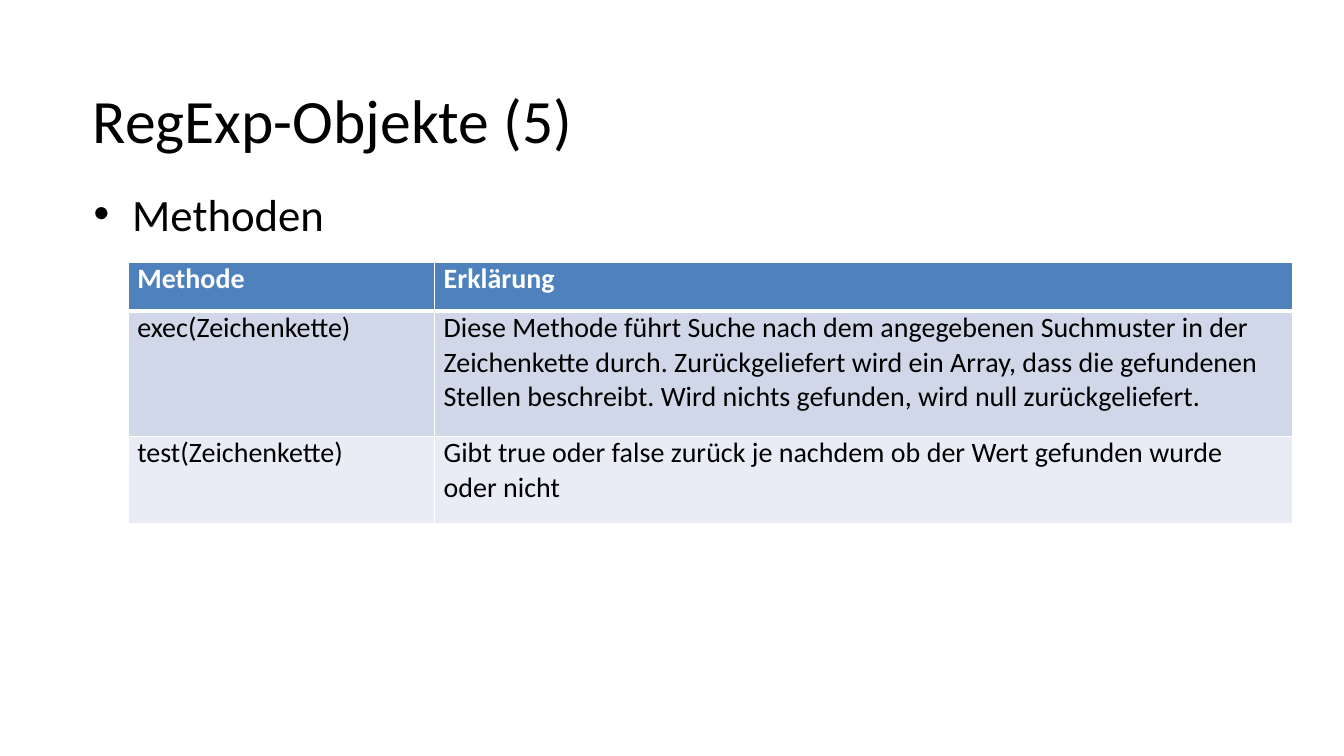
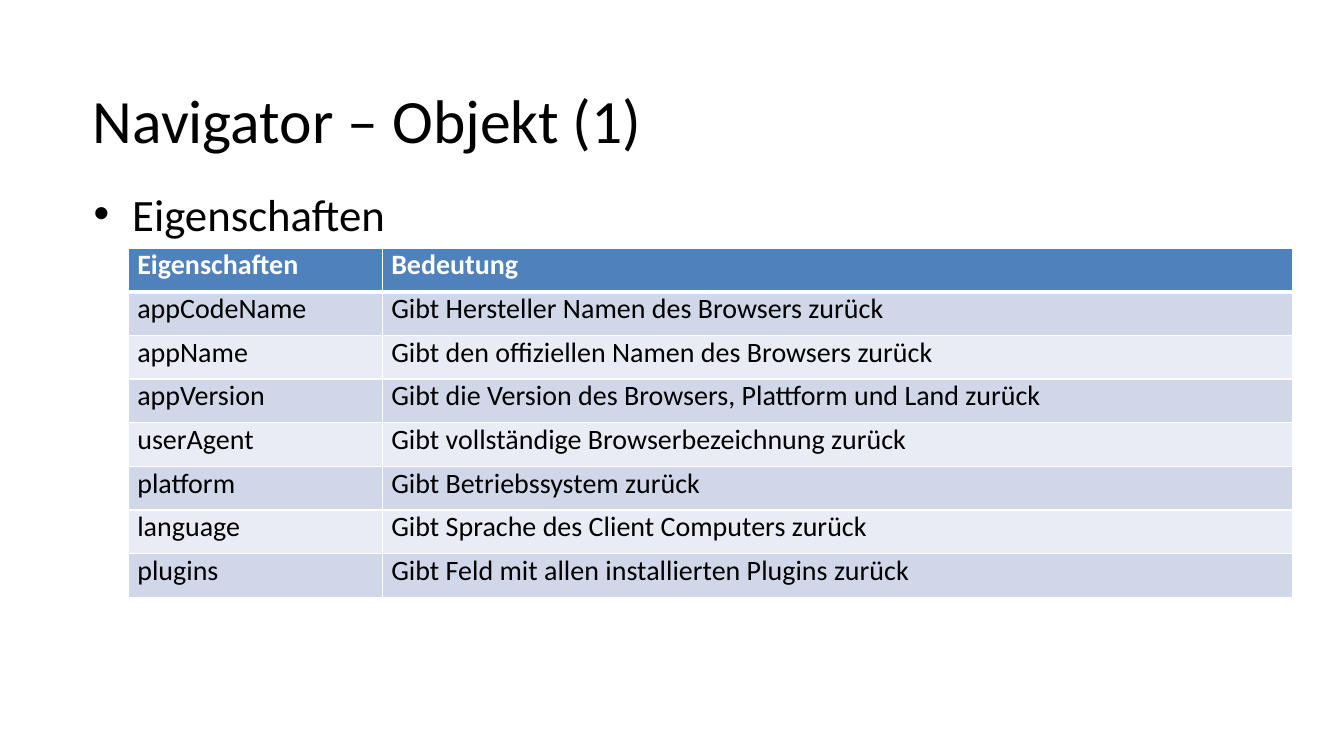
import pptx
import pptx.util
import pptx.dml.color
import pptx.enum.text
import pptx.oxml
import pptx.oxml.ns
from dataclasses import dataclass

Cm, Pt = pptx.util.Cm, pptx.util.Pt
RGB = pptx.dml.color.RGBColor.from_string
ENUM = pptx.enum.text


@dataclass(frozen=True)
class Theme:
    font: str = "Calibri"
    ink: str = "000000"
    white: str = "FFFFFF"
    head: str = "4F81BC"
    bands: tuple = ("D0D7E8", "E9ECF4")
    title: int = 44
    body: int = 32
    cell: int = 20
    thin: int = 1
    thick: int = 3


theme = Theme()


def style(frame, size, color, bold=False):
    """Format all text of a frame that carries no inner margins."""
    frame.margin_left = frame.margin_right = 0
    frame.margin_top = frame.margin_bottom = 0
    frame.word_wrap = True
    frame.auto_size = ENUM.MSO_AUTO_SIZE.NONE
    for para in frame.paragraphs:
        para.alignment = ENUM.PP_ALIGN.LEFT
        para.space_before = Pt(0)
        for run in para.runs:
            run.font.name = theme.font
            run.font.size = Pt(size)
            run.font.bold = bold
            run.font.color.rgb = RGB(color)


def border(cell, top, base):
    """Draw the white lines around a table cell."""
    props = cell._tc.get_or_add_tcPr()
    sides = (("L", theme.thin), ("R", theme.thin), ("T", top), ("B", base))
    for side, width in sides:
        props.append(pptx.oxml.parse_xml(
            f'<a:ln{side} {pptx.oxml.ns.nsdecls("a")} w="{Pt(width)}">'
            f'<a:solidFill><a:srgbClr val="{theme.white}"/></a:solidFill>'
            f'</a:ln{side}>'))


# Content: title, bullet, bullet width, table top, columns, row heights, rows
pages = [
    ("RegExp-Objekte (5)", "Methoden", 5.87, 6.6, (7.72, 21.62),
     (1.24, 3.15, 2.21), [
         ("Methode", "Erklärung"),
         ("exec(Zeichenkette)",
          "Diese Methode führt Suche nach dem angegebenen Suchmuster in der "
          "Zeichenkette durch. Zurückgeliefert wird ein Array, dass die "
          "gefundenen Stellen beschreibt. Wird nichts gefunden, wird null "
          "zurückgeliefert."),
         ("test(Zeichenkette)",
          "Gibt true oder false zurück je nachdem ob der Wert gefunden wurde\n"
          "oder nicht"),
     ]),
    ("Navigator – Objekt (1)", "Eigenschaften", 7.44, 6.25, (6.4, 22.94),
     (1.1,) * 8, [
         ("Eigenschaften", "Bedeutung"),
         ("appCodeName", "Gibt Hersteller Namen des Browsers zurück"),
         ("appName", "Gibt den offiziellen Namen des Browsers zurück"),
         ("appVersion",
          "Gibt die Version des Browsers, Plattform und Land zurück"),
         ("userAgent", "Gibt vollständige Browserbezeichnung zurück"),
         ("platform", "Gibt Betriebssystem zurück"),
         ("language", "Gibt Sprache des Client Computers zurück"),
         ("plugins", "Gibt Feld mit allen installierten Plugins zurück"),
     ]),
]

deck = pptx.Presentation()
deck.slide_width, deck.slide_height = Cm(33.87), Cm(19.05)

for name, topic, wide, top, cols, highs, rows in pages:
    slide = deck.slides.add_slide(deck.slide_layouts[1])

    # Title
    title = slide.shapes.title
    title.left, title.top = Cm(2.34), Cm(1.27)
    title.width, title.height = Cm(29.21), Cm(3.43)
    title.text_frame.text = name
    title.text_frame.vertical_anchor = ENUM.MSO_ANCHOR.MIDDLE
    style(title.text_frame, theme.title, theme.ink)

    # Bullet
    body = slide.placeholders[1]
    body.left, body.top = Cm(2.34), Cm(4.7)
    body.width, body.height = Cm(wide), Cm(1.45)
    body.text_frame.text = topic
    props = body.text_frame.paragraphs[0]._p.get_or_add_pPr()
    props.set("marL", str(Cm(0.99)))
    props.set("indent", str(Cm(-0.97)))
    props.append(pptx.oxml.parse_xml(
        f'<a:buChar {pptx.oxml.ns.nsdecls("a")} char="•"/>'))
    style(body.text_frame, theme.body, theme.ink)

    # Table
    table = slide.shapes.add_table(
        len(rows), len(cols), Cm(3.23), Cm(top),
        Cm(sum(cols)), Cm(sum(highs))).table
    table.horz_banding = False
    for col, width in zip(table.columns, cols):
        col.width = Cm(width)
    for r, texts in enumerate(rows):
        table.rows[r].height = Cm(highs[r])
        first = r == 0
        for c, text in enumerate(texts):
            cell = table.cell(r, c)
            cell.text_frame.text = text
            style(cell.text_frame, theme.cell,
                  theme.white if first else theme.ink, first)
            cell.margin_left = Cm(0.23)
            cell.margin_right = cell.margin_top = cell.margin_bottom = 0
            border(cell, theme.thick if r == 1 else theme.thin,
                   theme.thick if first else theme.thin)
            cell.fill.solid()
            cell.fill.fore_color.rgb = RGB(
                theme.head if first else theme.bands[(r - 1) % 2])

deck.save("out.pptx")
